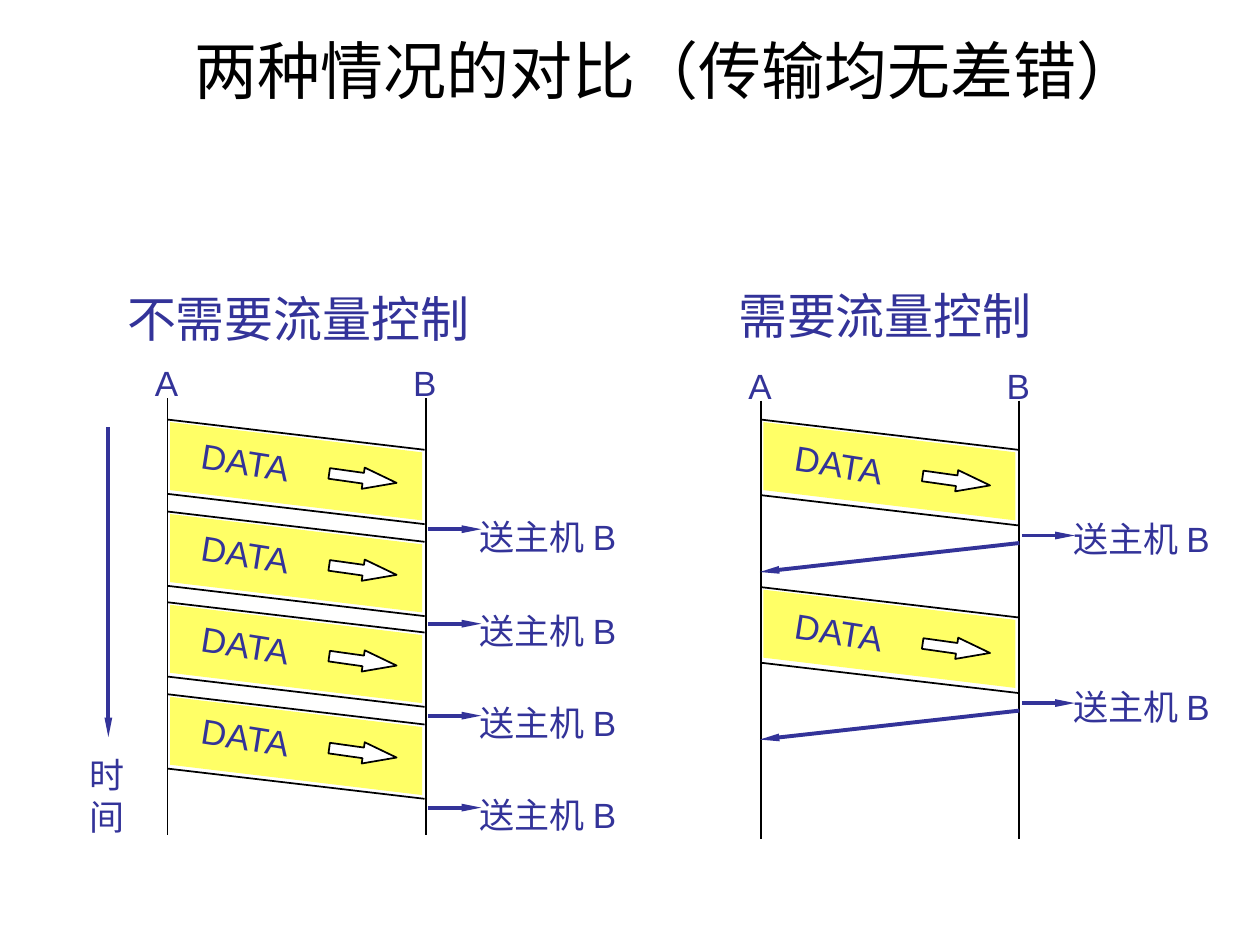
"""Slide comparing transmission with and without flow control."""
from lxml import etree
from pptx import Presentation
from pptx.dml.color import RGBColor
from pptx.enum.shapes import MSO_CONNECTOR, MSO_SHAPE
from pptx.enum.text import MSO_ANCHOR, PP_ALIGN
from pptx.oxml.ns import qn
from pptx.util import Inches, Pt

STRAIGHT = MSO_CONNECTOR.STRAIGHT
RIGHT_ARROW = MSO_SHAPE.RIGHT_ARROW
MIDDLE = MSO_ANCHOR.MIDDLE
LEFT, CENTER = PP_ALIGN.LEFT, PP_ALIGN.CENTER

BLACK = RGBColor(0x00, 0x00, 0x00)
WHITE = RGBColor(0xFF, 0xFF, 0xFF)
NAVY = RGBColor(0x33, 0x33, 0x99)
YELLOW = RGBColor(0xFF, 0xFF, 0x66)

TITLE = "两种情况的对比（传输均无差错）"
TIME = ["时", "间"]
SEND = "送主机 B"
PANELS = [
    {"heading": "不需要流量控制", "box": (0.91, 2.24, 2.92, 0.57),
     "x": 1.33, "top": 3.16, "bottom": 6.63, "shift": 0, "ack": False, "send_rise": 0.16,
     "packets": [(3.33, 4.2), (4.06, 4.95), (4.78, 5.68), (5.51, 6.41)]},
    {"heading": "需要流量控制", "box": (5.76, 2.22, 2.53, 0.57),
     "x": 6.04, "top": 3.18, "bottom": 6.66, "shift": 0.02, "ack": True, "send_rise": 0.19,
     "packets": [(3.33, 4.25), (4.66, 5.58)]},
]
SPAN = 2.05
DROP = 0.24
DEPTH = 0.59


def add_text(s, box, lines, size=20, font="Arial", color=NAVY, align=LEFT, wrap=True, angle=0):
    sp = s.shapes.add_textbox(*map(Inches, box))
    sp.rotation = angle
    tf = sp.text_frame
    tf.word_wrap = wrap
    for i, line in enumerate(lines):
        p = tf.add_paragraph() if i else tf.paragraphs[0]
        p.alignment = align
        r = p.add_run()
        r.text = line
        r.font.size = Pt(size)
        r.font.name = font
        r.font.color.rgb = color
    return tf


def add_line(s, x1, y1, x2, y2, color=BLACK, width=1, arrow=False):
    sp = s.shapes.add_connector(STRAIGHT, *map(Inches, (x1, y1, x2, y2)))
    sp.line.color.rgb = color
    sp.line.width = Pt(width)
    if arrow:
        ln = sp.line._get_or_add_ln()
        etree.SubElement(ln, qn("a:tailEnd"), type="triangle", w="sm", len="lg")
    etree.SubElement(sp._element.spPr, qn("a:effectLst"))


def add_arrow(s, x1, y1, x2, y2):
    add_line(s, x1, y1, x2, y2, NAVY, 2.25, True)


def add_packet(s, x, y, shift):
    for top in (y, y + DEPTH + shift / 2):
        add_line(s, x, top, x + SPAN - 0.01, top + DROP)

    l, r, t, h = x + 0.02, x + 2.02, y + 0.02, 0.54
    fb = s.shapes.build_freeform(Inches(l), Inches(t))
    corners = [(r, t + DROP), (r, t + DROP + h), (l, t + h)]
    fb.add_line_segments([(Inches(a), Inches(b)) for a, b in corners], close=True)
    sp = fb.convert_to_shape()
    sp.shadow.inherit = False
    sp.fill.solid()
    sp.fill.fore_color.rgb = YELLOW
    sp.line.fill.background()

    box = (x + 1.28, y + 0.38 + shift, 0.54, 0.17)
    sp = s.shapes.add_shape(RIGHT_ARROW, *map(Inches, box))
    sp.shadow.inherit = False
    sp.rotation = 8
    sp.adjustments[0] = 0.5
    sp.adjustments[1] = 1.57
    sp.fill.solid()
    sp.fill.fore_color.rgb = WHITE
    sp.line.color.rgb = BLACK
    sp.line.width = Pt(1)

    add_text(s, (x + 0.17, y + 0.12 + shift, 0.94, 0.43), ["DATA"], wrap=False, angle=9)


def add_panel(s, panel):
    x, top, shift = panel["x"], panel["top"], panel["shift"]
    add_text(s, panel["box"], [panel["heading"]], size=28, font="Roboto")
    for host, dx in (("A", 0), ("B", SPAN)):
        add_line(s, x + dx, top, x + dx, panel["bottom"])
        add_text(s, (x + dx - 0.2, top - 0.34, 0.38, 0.43), [host], wrap=False)
    for y, sent in panel["packets"]:
        add_packet(s, x, y, shift)
        add_arrow(s, x + 2.07, sent, x + 2.49, sent)
        add_text(s, (x + 2.38, sent - panel["send_rise"], 1.42, 0.43), [SEND])
        if panel["ack"]:
            add_arrow(s, x + SPAN, sent + 0.06, x - 0.01, sent + 0.29)


def main():
    prs = Presentation()
    prs.slide_width, prs.slide_height = Inches(10), Inches(7.5)
    s = prs.slides.add_slide(prs.slide_layouts[6])
    tf = add_text(s, (1.35, 0.13, 7.89, 0.84), [TITLE], 36, "Times New Roman", BLACK, CENTER)
    tf.vertical_anchor = MIDDLE
    for panel in PANELS:
        add_panel(s, panel)
    add_arrow(s, 0.86, 3.39, 0.86, 5.85)
    add_text(s, (0.61, 5.93, 0.48, 0.76), TIME)
    prs.save("out.pptx")


if __name__ == "__main__":
    main()
